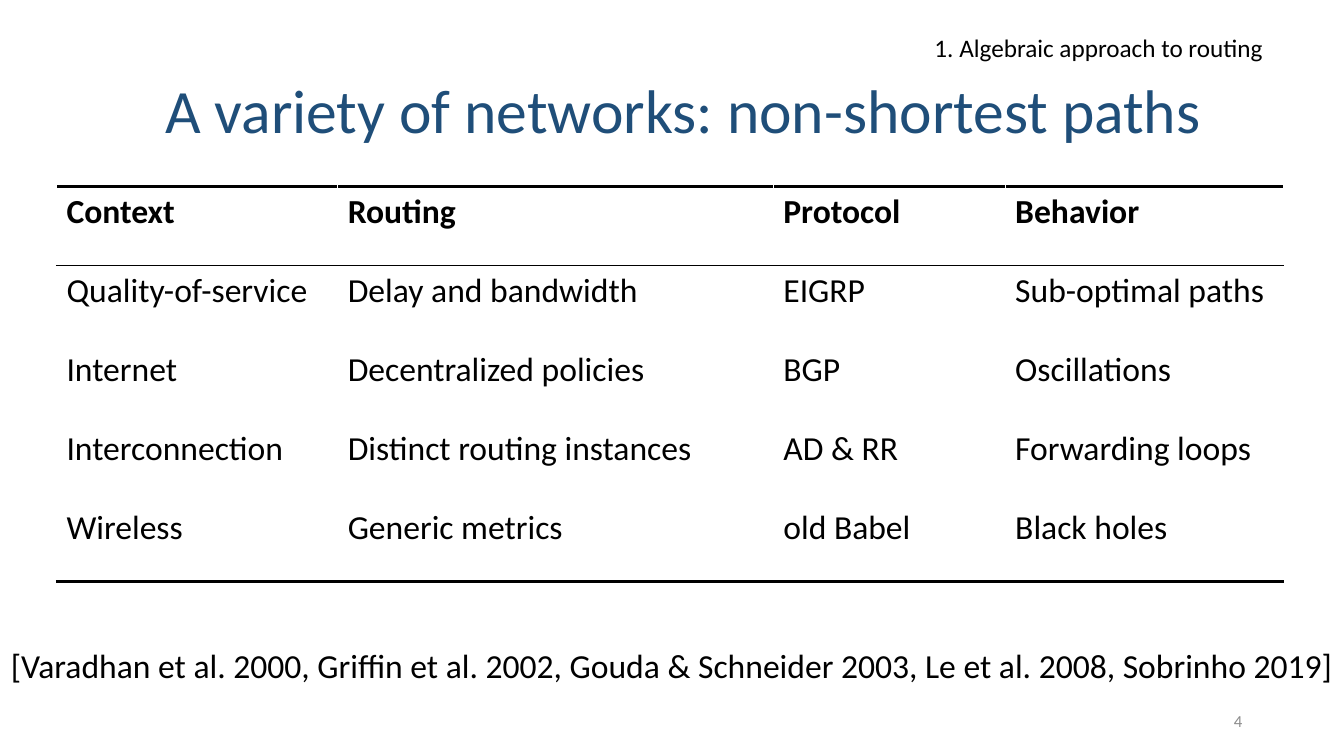
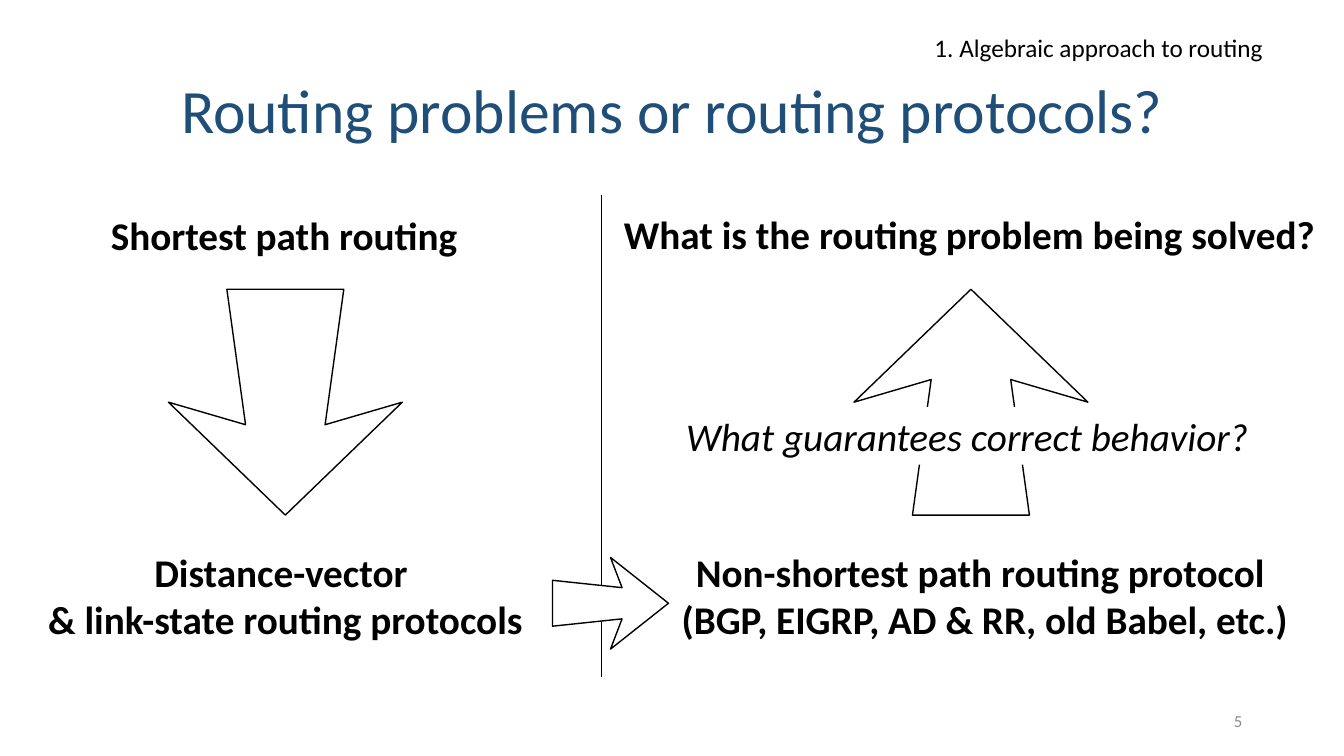
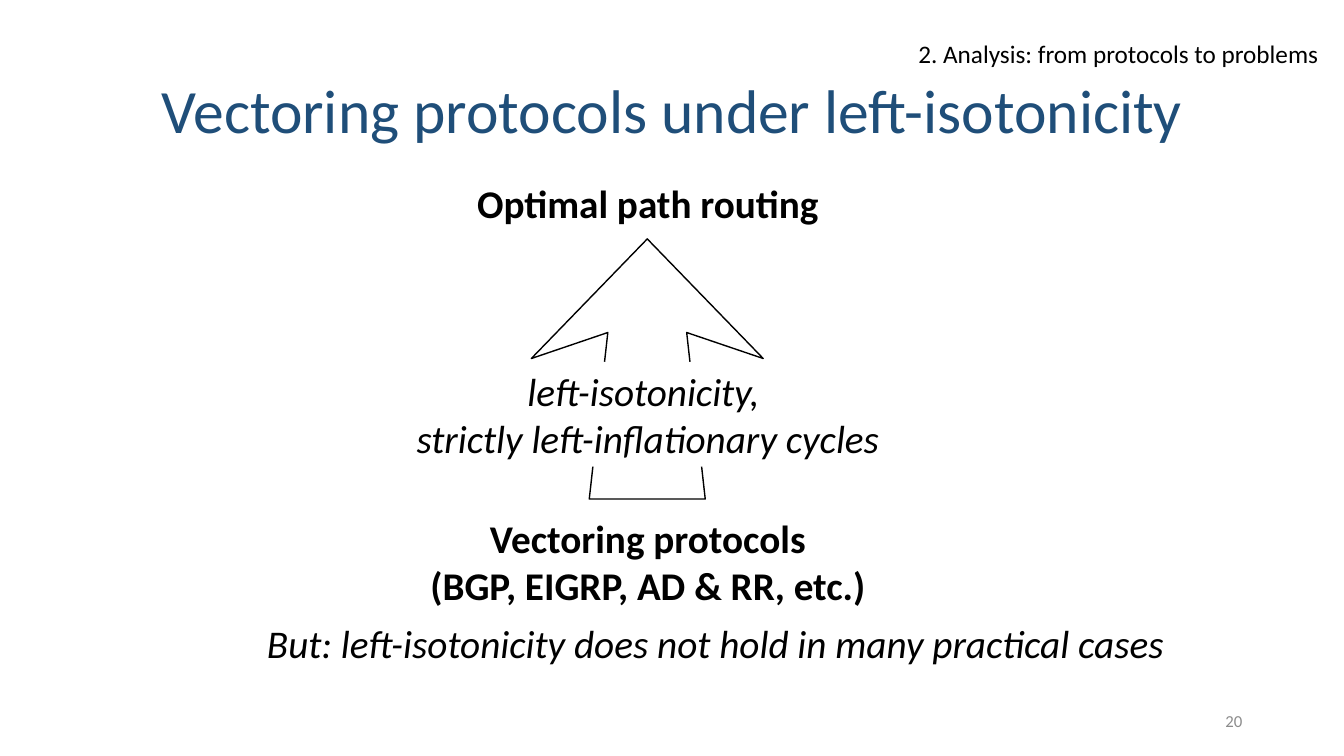
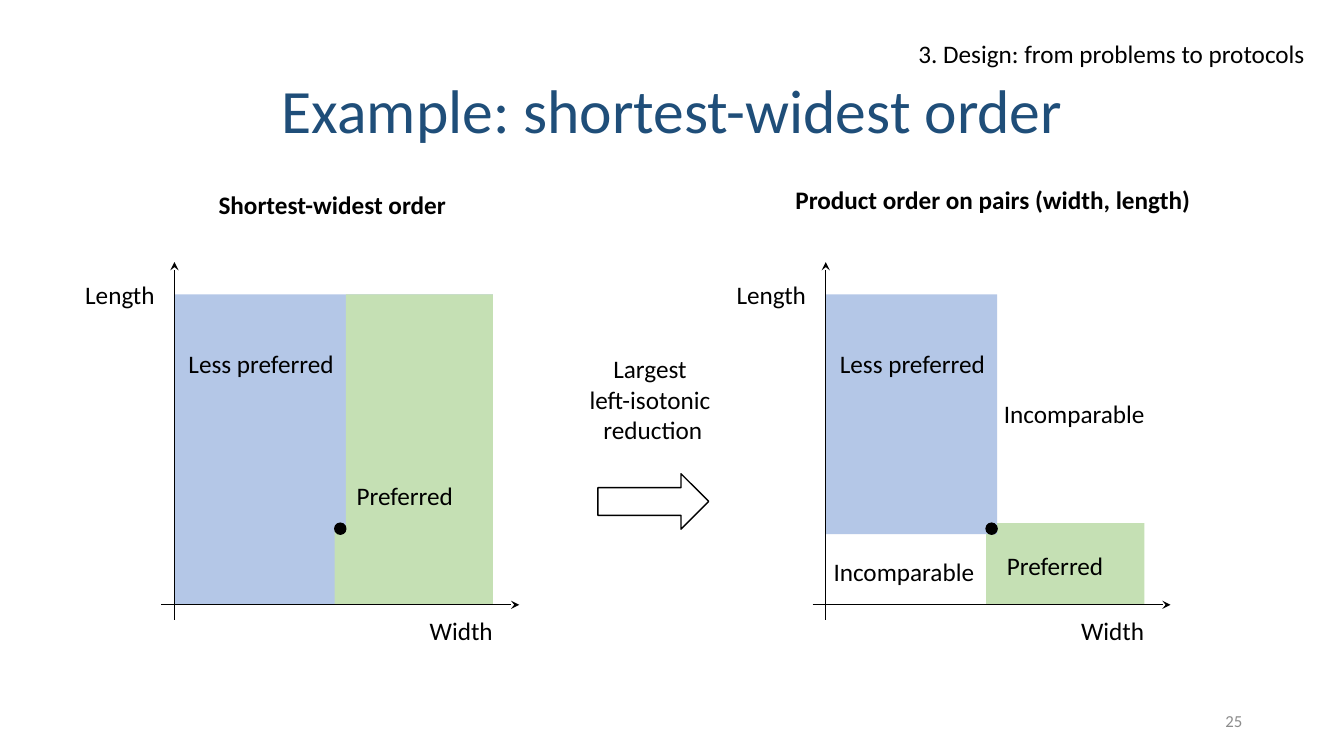
from dataclasses import dataclass

from lxml.etree import SubElement
from pptx import Presentation
from pptx.dml.color import RGBColor
from pptx.enum.shapes import MSO_CONNECTOR as Connector, MSO_SHAPE as Preset
from pptx.enum.text import MSO_ANCHOR as Anchor, MSO_AUTO_SIZE as AutoSize, PP_ALIGN as Align
from pptx.oxml.ns import qn
from pptx.util import Inches, Pt


@dataclass(frozen=True)
class Theme:
    font: str = "Calibri"
    black: str = "000000"
    white: str = "FFFFFF"
    title: str = "1F4E79"
    number: str = "8C8C8C"
    blue: str = "B4C7E7"
    green: str = "C5E0B4"
    title_size: int = 44
    heading_size: int = 28
    table_size: int = 24
    label_size: int = 18
    number_size: int = 12
    outline: float = 1
    thin: float = 0.5
    rule: float = 3


@dataclass(frozen=True)
class Box:
    left: float
    top: float
    width: float
    height: float

    def inches(self):
        return [Inches(v) for v in (self.left, self.top, self.width, self.height)]

    def inner(self, left, top, width, height):
        return Box(self.left + left, self.top + top, width, height)


THEME = Theme()
LABEL_HEIGHT = 0.4
HEADING_HEIGHT = 0.57
PAIR_HEIGHT = 1.04


def colour(code):
    return RGBColor.from_string(code)


def style(para, size, code=THEME.black, bold=False, italic=False, align=Align.LEFT):
    para.alignment = align
    font = para.font
    font.name, font.size, font.bold, font.italic = THEME.font, Pt(size), bold, italic
    font.color.rgb = colour(code)


def add_text(page, box, lines, size, wrap=False, fill=None, anchor=Anchor.TOP,
             grow=True, spacing=None, **look):
    shape = page.shapes.add_textbox(*box.inches())
    frame = shape.text_frame
    frame.word_wrap = wrap
    frame.auto_size = AutoSize.SHAPE_TO_FIT_TEXT if grow else AutoSize.NONE
    frame.vertical_anchor = anchor
    if fill:
        shape.fill.solid()
        shape.fill.fore_color.rgb = colour(fill)
    for index, line in enumerate(lines):
        para = frame.add_paragraph() if index else frame.paragraphs[0]
        para.text = line
        para.line_spacing = spacing
        style(para, size, **look)


def paint(shape, fill, line=None):
    shape.shadow.inherit = False
    shape.fill.solid()
    shape.fill.fore_color.rgb = colour(fill)
    if line:
        shape.line.color.rgb = colour(line)
        shape.line.width = Pt(THEME.outline)
    else:
        shape.line.fill.background()


def add_preset(page, preset, box, fill, line=None):
    paint(page.shapes.add_shape(preset, *box.inches()), fill, line)


def add_line(page, start, end, arrow=False):
    line = page.shapes.add_connector(Connector.STRAIGHT, *map(Inches, start + end))
    line.line.color.rgb = colour(THEME.black)
    line.line.width = Pt(THEME.thin)
    if arrow:
        SubElement(line.line._get_or_add_ln(), qn("a:tailEnd"), type="stealth")
    SubElement(line._element.spPr, qn("a:effectLst"))


def add_notched_arrow(page, box, direction, shoulder=0.5, notch=0.4):
    outline = [(0.5, 0), (1, shoulder), (0.67, notch), (0.75, 1),
               (0.25, 1), (0.33, notch), (0, shoulder)]
    turn = {
        "up": lambda across, along: (across, along),
        "down": lambda across, along: (across, 1 - along),
        "right": lambda across, along: (1 - along, across),
    }[direction]
    points = []
    for across, along in outline:
        x, y = turn(across, along)
        points.append((Inches(box.left + x * box.width), Inches(box.top + y * box.height)))
    builder = page.shapes.build_freeform(*points[0])
    builder.add_line_segments(points[1:], close=True)
    paint(builder.convert_to_shape(), THEME.white, THEME.black)


def add_heading(page, box, *lines, align=Align.CENTER, **look):
    add_text(page, box, lines, THEME.heading_size, align=align, **look)


def add_label(page, box, *lines, align=Align.CENTER, **look):
    add_text(page, box, lines, THEME.label_size, align=align, **look)


def add_frame(page, title, number, section, section_box, title_box=Box(0.92, 0.4, 11.5, 1.45)):
    add_text(page, title_box, [title], THEME.title_size, wrap=True, anchor=Anchor.MIDDLE,
             grow=False, spacing=0.9, code=THEME.title, align=Align.CENTER)
    add_text(page, Box(9.42, 6.95, 3, 0.4), [str(number)], THEME.number_size, wrap=True,
             anchor=Anchor.MIDDLE, grow=False, code=THEME.number, align=Align.RIGHT)
    add_label(page, section_box, section, align=Align.LEFT)


def set_border(cell, side, code, width):
    line = SubElement(cell._tc.get_or_add_tcPr(), qn(f"a:ln{side}"), w=str(Pt(width)))
    SubElement(SubElement(line, qn("a:solidFill")), qn("a:srgbClr"), val=code)


def add_ruled_table(page, box, widths, rows):
    table = page.shapes.add_table(len(rows), len(widths), *box.inches()).table
    table.first_row = table.horz_banding = False
    for column, width in zip(table.columns, widths):
        column.width = Inches(width)
    white = (THEME.white, THEME.outline)
    thin = (THEME.black, THEME.outline)
    thick = (THEME.black, THEME.rule)
    edges = [thick, thin] + [white] * (len(rows) - 2) + [thick]
    for r, texts in enumerate(rows):
        table.rows[r].height = Inches(box.height / len(rows))
        for c, text in enumerate(texts):
            cell = table.cell(r, c)
            cell.text = text
            style(cell.text_frame.paragraphs[0], THEME.table_size, bold=r == 0)
            for side, edge in zip("LRTB", (white, white, edges[r], edges[r + 1])):
                set_border(cell, side, *edge)
            cell.fill.background()


def add_order_plot(page, box, regions, labels):
    for fill, place in regions:
        add_preset(page, Preset.RECTANGLE, box.inner(*place), fill)
    left, bottom = box.left, box.top + box.height
    add_line(page, (left - 0.13, bottom), (left + box.width + 0.26, bottom), arrow=True)
    add_line(page, (left, bottom + 0.15), (left, box.top - 0.32), arrow=True)
    add_preset(page, Preset.OVAL, box.inner(1.59, 2.27, 0.11, 0.11), THEME.black, THEME.black)
    shared = [("Length", -0.99, -0.2, 0.9), ("Width", 2.43, box.height + 0.06, 0.83),
              ("Less preferred", 0.03, 0.49, 1.66)]
    for text, x, y, width in shared + labels:
        add_label(page, box.inner(x, y, width, LABEL_HEIGHT), text)


def build_networks(page):
    add_frame(page, "A variety of networks: non-shortest paths", 4,
              "1. Algebraic approach to routing", Box(9.17, 0.27, 3.5, LABEL_HEIGHT),
              Box(0.41, 0.4, 12.74, 1.45))
    add_ruled_table(page, Box(0.56, 1.85, 12.17, 3.92), [2.79, 4.32, 2.3, 2.76], [
        ("Context", "Routing", "Protocol", "Behavior"),
        ("Quality-of-service", "Delay and bandwidth", "EIGRP", "Sub-optimal paths"),
        ("Internet", "Decentralized policies", "BGP", "Oscillations"),
        ("Interconnection", "Distinct routing instances", "AD & RR", "Forwarding loops"),
        ("Wireless", "Generic metrics", "old Babel", "Black holes"),
    ])
    add_text(page, Box(0.01, 6.35, 13.33, 0.5),
             ["[Varadhan et al. 2000, Griffin et al. 2002, Gouda & Schneider 2003, "
              "Le et al. 2008, Sobrinho 2019]"], THEME.table_size, wrap=True)


def build_problems(page):
    add_notched_arrow(page, Box(8.47, 2.87, 2.32, 2.24), "up")
    add_frame(page, "Routing problems or routing protocols?", 5,
              "1. Algebraic approach to routing", Box(9.17, 0.27, 3.5, LABEL_HEIGHT))
    add_heading(page, Box(0.35, 5.39, 4.96, PAIR_HEIGHT),
                "Distance-vector ", "& link-state routing protocols", bold=True)
    add_heading(page, Box(6.62, 5.39, 6.29, PAIR_HEIGHT),
                "Non-shortest path routing protocol ",
                "(BGP, EIGRP, AD & RR, old Babel, etc.)", bold=True)
    add_heading(page, Box(6.09, 2.04, 7.13, HEADING_HEIGHT),
                "What is the routing problem being solved?", bold=True, align=Align.LEFT)
    add_heading(page, Box(6.67, 4.04, 5.93, HEADING_HEIGHT),
                "What guarantees correct behavior? ", italic=True, fill=THEME.white)
    add_heading(page, Box(1, 2.05, 3.68, HEADING_HEIGHT),
                "Shortest path routing", bold=True, align=Align.LEFT)
    add_line(page, (5.96, 1.93), (5.96, 6.72))
    add_notched_arrow(page, Box(1.67, 2.87, 2.32, 2.24), "down")
    add_notched_arrow(page, Box(5.48, 5.53, 1.15, 0.91), "right")


def build_vectoring(page):
    add_notched_arrow(page, Box(5.27, 2.37, 2.3, 2.58), "up", shoulder=0.46, notch=0.36)
    add_frame(page, "Vectoring protocols under left-isotonicity", 20,
              "2. Analysis: from protocols to problems", Box(9.01, 0.33, 4.21, LABEL_HEIGHT))
    add_heading(page, Box(1.66, 1.73, 9.53, HEADING_HEIGHT),
                "Optimal path routing", bold=True, wrap=True)
    add_heading(page, Box(4, 3.59, 4.85, PAIR_HEIGHT), "left-isotonicity, ",
                "strictly left-inflationary cycles", italic=True, fill=THEME.white)
    add_heading(page, Box(2.55, 6.09, 9.13, HEADING_HEIGHT),
                "But: left-isotonicity does not hold in many practical cases",
                italic=True, fill=THEME.white, wrap=True, align=Align.LEFT)
    add_heading(page, Box(4.14, 5.05, 4.57, PAIR_HEIGHT),
                "Vectoring protocols", "(BGP, EIGRP, AD & RR, etc.)", bold=True)


def build_orders(page):
    add_frame(page, "Example: shortest-widest order", 25,
              "3. Design: from problems to protocols", Box(9.01, 0.33, 4.08, LABEL_HEIGHT))
    add_order_plot(page, Box(1.73, 2.92, 3.16, 3.08), [
        (THEME.blue, (0, 0, 3.16, 3.08)),
        (THEME.green, (1.59, 2.33, 1.57, 0.75)),
        (THEME.green, (1.7, 0, 1.46, 2.36)),
    ], [("Preferred", 1.7, 1.8, 1.17)])
    add_order_plot(page, Box(8.19, 2.92, 3.16, 3.08), [
        (THEME.green, (1.59, 2.27, 1.57, 0.81)),
        (THEME.blue, (0, 0, 1.7, 2.38)),
    ], [("Preferred", 1.69, 2.49, 1.17), ("Incomparable", -0.03, 2.55, 1.61),
        ("Incomparable", 1.66, 0.98, 1.61)])
    add_label(page, Box(2.07, 1.83, 2.47, LABEL_HEIGHT),
              "Shortest-widest order", bold=True, align=Align.LEFT)
    add_label(page, Box(7.79, 1.78, 4.21, LABEL_HEIGHT),
              "Product order on pairs (width, length)", bold=True, align=Align.LEFT)
    add_preset(page, Preset.RIGHT_ARROW, Box(5.93, 4.7, 1.1, 0.55), THEME.white, THEME.black)
    add_label(page, Box(5.74, 3.46, 1.47, 1.01), "Largest ", "left-isotonic ", "reduction")


def main():
    deck = Presentation()
    deck.slide_width, deck.slide_height = Inches(13.33), Inches(7.5)
    for build in (build_networks, build_problems, build_vectoring, build_orders):
        build(deck.slides.add_slide(deck.slide_layouts[6]))
    deck.save("out.pptx")


if __name__ == "__main__":
    main()
